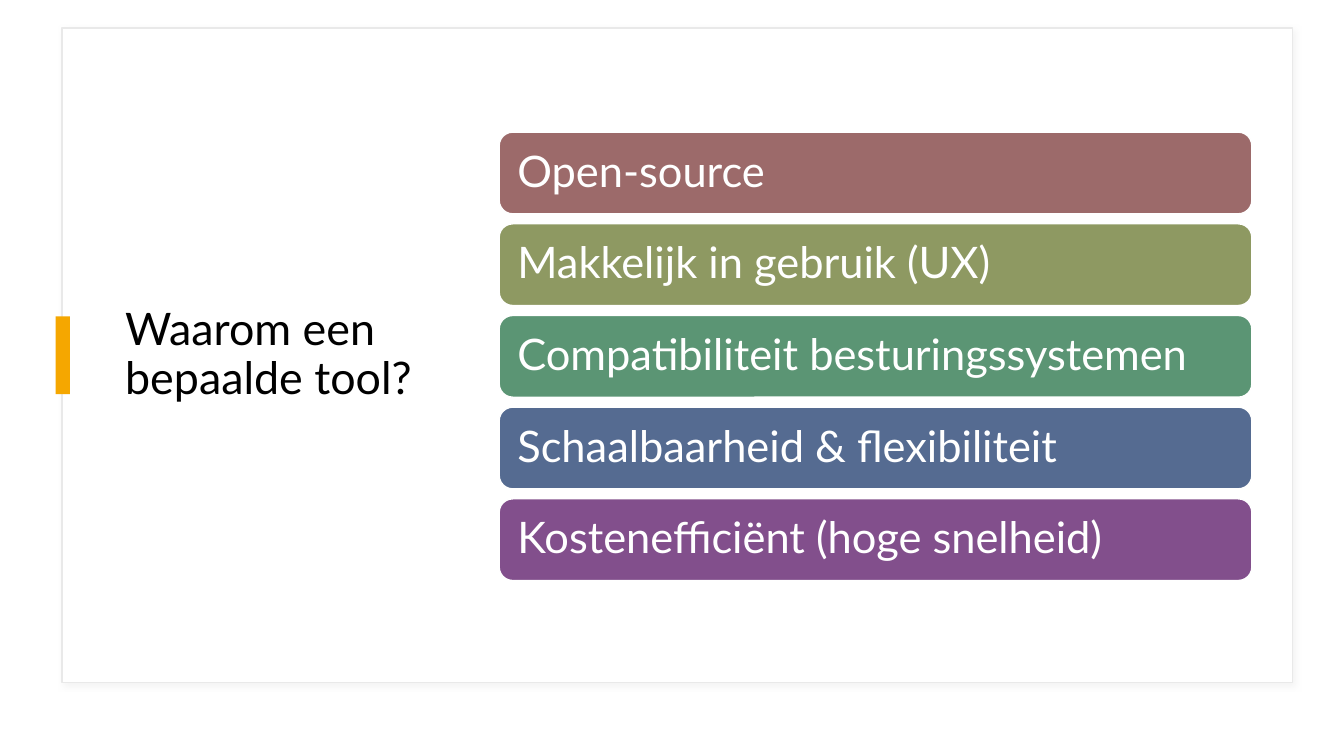
from lxml import etree
from pptx import Presentation
from pptx.dml.color import RGBColor
from pptx.enum import shapes, text
from pptx.oxml import ns
from pptx.util import Cm, Pt

FONT = "Lato"
WHITE = RGBColor(0xFF, 0xFF, 0xFF)
BLACK = RGBColor(0x00, 0x00, 0x00)
FRAME_GREY = RGBColor(0xE9, 0xE9, 0xE9)
SHADOW_GREY = RGBColor(0xD9, 0xD9, 0xD9)
AMBER = RGBColor(0xF5, 0xA7, 0x00)
ROSE = RGBColor(0x9C, 0x6A, 0x6A)
OLIVE = RGBColor(0x8E, 0x99, 0x62)
GREEN = RGBColor(0x5B, 0x95, 0x74)
BLUE = RGBColor(0x55, 0x6B, 0x91)
PURPLE = RGBColor(0x82, 0x4F, 0x8C)

QUESTION = "Waarom een bepaalde tool?"
REASONS = [
    ("Open-source", ROSE),
    ("Makkelijk in gebruik (UX)", OLIVE),
    ("Compatibiliteit besturingssystemen", GREEN),
    ("Schaalbaarheid & flexibiliteit", BLUE),
    ("Kostenefficiënt (hoge snelheid)", PURPLE),
]


def add_block(slide, kind, box, fill, outline=None):
    """Add a filled preset shape, outlined at 1 pt when a colour is given."""
    block = slide.shapes.add_shape(kind, *box)
    block.shadow.inherit = False
    block.fill.solid()
    block.fill.fore_color.rgb = fill
    if outline is None:
        block.line.fill.background()
    else:
        block.line.color.rgb = outline
        block.line.width = Pt(1)
    return block


def write_line(frame, words, size, color, space_after):
    """Write one left-aligned, vertically centred paragraph."""
    frame.word_wrap = True
    frame.auto_size = text.MSO_AUTO_SIZE.NONE
    frame.vertical_anchor = text.MSO_ANCHOR.MIDDLE
    line = frame.paragraphs[0]
    line.alignment = text.PP_ALIGN.LEFT
    line.line_spacing = 0.9
    line.space_after = space_after
    run = line.add_run()
    run.text = words
    run.font.name = FONT
    run.font.size = size
    run.font.color.rgb = color


def add_panel(slide, box):
    """Draw the framed panel with its soft shadow."""
    panel = add_block(slide, shapes.MSO_SHAPE.RECTANGLE, box, WHITE, FRAME_GREY)
    effects = panel.element.spPr.find(ns.qn("a:effectLst"))
    shadow = etree.SubElement(effects, ns.qn("a:outerShdw"), blurRad=str(Pt(4)),
                              dist=str(Pt(3)), dir="2700000", rotWithShape="0")
    tint = etree.SubElement(shadow, ns.qn("a:srgbClr"), val=str(SHADOW_GREY))
    etree.SubElement(tint, ns.qn("a:alpha"), val="30000")


def add_question(slide, box):
    """Place the title in front of the panel, with the accent mark at its left."""
    left, top, width, height = box
    question = slide.shapes.title
    question.left, question.top, question.width, question.height = box
    write_line(question.text_frame, QUESTION, Pt(32), BLACK, Pt(6))
    question.element.getparent().append(question.element)
    mark_height = Cm(1.96)
    mark_box = (left - Cm(1.5), top + (height - mark_height) // 2, Cm(0.36), mark_height)
    add_block(slide, shapes.MSO_SHAPE.RECTANGLE, mark_box, AMBER)


def add_reasons(slide, box):
    """Stack the reasons as equal rounded bars filling the box."""
    left, top, width, height = box
    gap = Cm(0.25)
    bar_height = (height - gap * (len(REASONS) - 1)) // len(REASONS)
    for row, (reason, color) in enumerate(REASONS):
        bar_box = (left, top + row * (bar_height + gap), width, bar_height)
        bar = add_block(slide, shapes.MSO_SHAPE.ROUNDED_RECTANGLE, bar_box, color, WHITE)
        frame = bar.text_frame
        frame.margin_left = frame.margin_right = Cm(0.36)
        frame.margin_top = frame.margin_bottom = Cm(0.33)
        write_line(frame, reason, Pt(31), WHITE, Pt(0))


def main():
    """Build and save the presentation."""
    deck = Presentation()
    deck.slide_width, deck.slide_height = Cm(33.87), Cm(19.05)
    slide = deck.slides.add_slide(deck.slide_layouts.get_by_name("Title Only"))
    add_panel(slide, (Cm(1.56), Cm(0.71), Cm(31.01), Cm(16.49)))
    add_question(slide, (Cm(2.9), Cm(1.4), Cm(8.3), Cm(15.11)))
    add_reasons(slide, (Cm(12.58), Cm(3.33), Cm(18.97), Cm(11.3)))
    deck.save("out.pptx")


if __name__ == "__main__":
    main()
